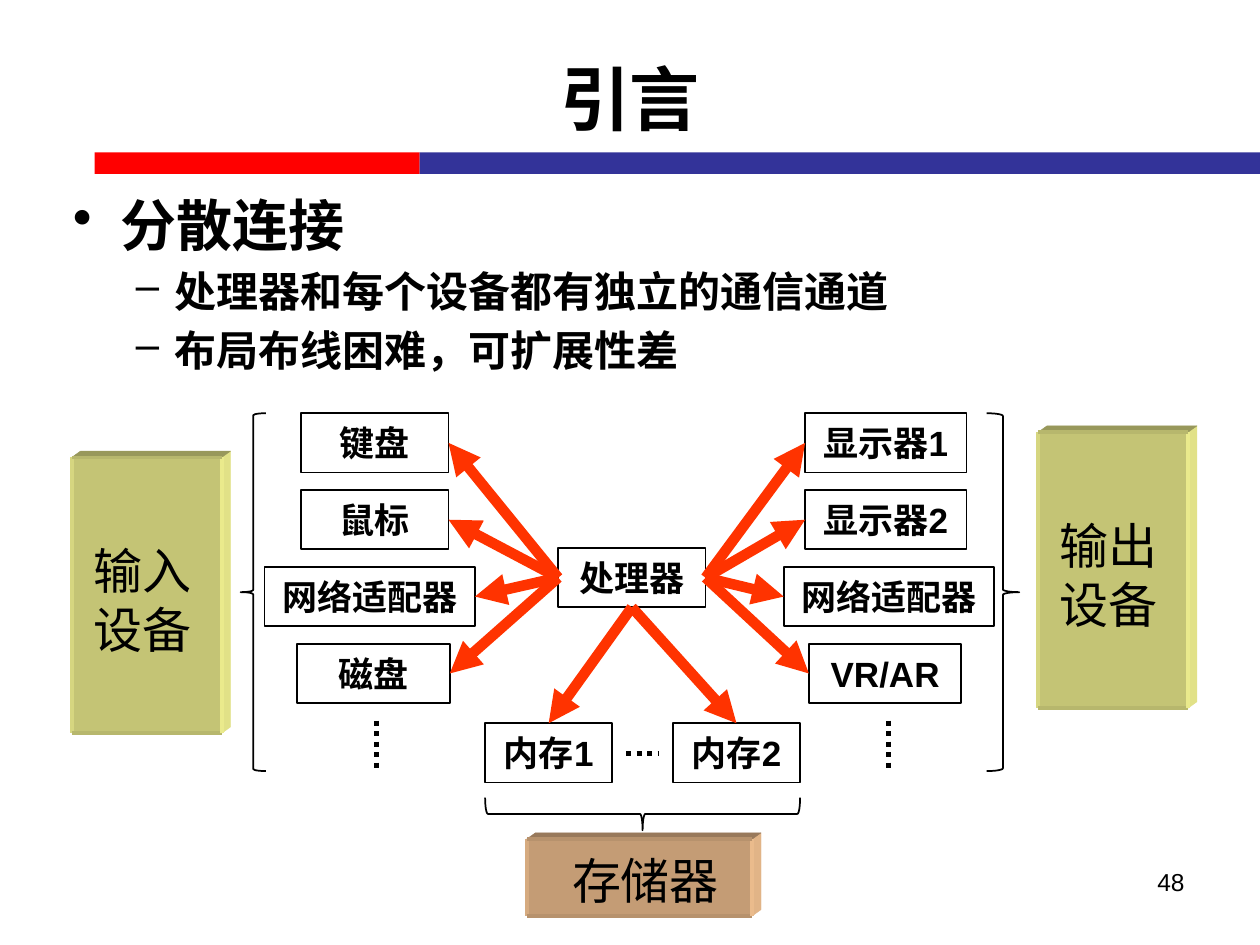
from dataclasses import dataclass

from lxml.etree import SubElement
from pptx import Presentation
from pptx.dml.color import RGBColor
from pptx.enum.dml import MSO_LINE_DASH_STYLE as Dash
from pptx.enum.shapes import MSO_CONNECTOR as Connector, MSO_SHAPE as Shape
from pptx.enum.text import MSO_ANCHOR as Anchor, PP_ALIGN as Align
from pptx.oxml.ns import qn
from pptx.util import Inches, Pt


@dataclass(frozen=True)
class Theme:
    font: str = "Arial"
    block_font: str = "Noto Sans CJK SC"
    ink: str = "000000"
    red: str = "FF0000"
    blue: str = "333399"
    arrow: str = "FF3300"
    title: int = 40
    topic: int = 32
    point: int = 24
    block: int = 28
    device: int = 20
    page: int = 14


@dataclass(frozen=True)
class Palette:
    front: str
    side: str
    top: str
    left_edge: str
    right_edge: str
    flat_edge: str


@dataclass(frozen=True)
class Device:
    label: str
    left: float
    top: float
    width: float


@dataclass(frozen=True)
class Block:
    lines: tuple[str, ...]
    left: float
    top: float
    width: float
    height: float
    label_dx: float
    label_dy: float
    palette: Palette


THEME = Theme()
OLIVE = Palette("C4C475", "E1E187", "98985B", "D6D680", "EAEA8C", "B7B76D")
BROWN = Palette("C49C75", "E1B487", "98795B", "D6AB80", "EABB8C", "B7926D")
DEVICE_HEIGHT = 0.47
ROWS = [3.28 + 0.61 * row for row in range(4)]
BOTTOM, LEFT, RIGHT, TOP = 2, 1, 3, 0

PROCESSOR = Device("处理器", 4.43, 4.35, 1.17)
INPUTS = [
    Device("键盘", 2.39, ROWS[0], 1.17),
    Device("鼠标", 2.39, ROWS[1], 1.17),
    Device("网络适配器", 2.1, ROWS[2], 1.67),
    Device("磁盘", 2.36, ROWS[3], 1.21),
]
OUTPUTS = [
    Device("显示器1", 6.39, ROWS[0], 1.28),
    Device("显示器2", 6.39, ROWS[1], 1.28),
    Device("网络适配器", 6.22, ROWS[2], 1.67),
    Device("VR/AR", 6.42, ROWS[3], 1.21),
]
MEMORIES = [Device("内存1", 3.85, 5.74, 1.01), Device("内存2", 5.34, 5.74, 1.01)]
BLOCKS = [
    Block(("输入", "设备"), 0.57, 3.63, 1.19, 2.19, 0.17, 0.66, OLIVE),
    Block(("输出", "设备"), 8.24, 3.43, 1.19, 2.19, 0.17, 0.66, OLIVE),
    Block(("存储器",), 4.18, 6.66, 1.79, 0.61, 0.36, 0.09, BROWN),
]

prs = Presentation()
prs.slide_width, prs.slide_height = Inches(10), Inches(7.5)
slide = prs.slides.add_slide(prs.slide_layouts[6])
shapes = slide.shapes


def rgb(value: str) -> RGBColor:
    return RGBColor.from_string(value)


def style(paragraph, size: int, bold: bool = False, align=Align.LEFT, font: str = THEME.font) -> None:
    paragraph.alignment = align
    paragraph.font.size = Pt(size)
    paragraph.font.bold = bold
    paragraph.font.name = font
    paragraph.font.color.rgb = rgb(THEME.ink)


def add_text(left: float, top: float, width: float, height: float, lines, wrap: bool = True):
    frame = shapes.add_textbox(Inches(left), Inches(top), Inches(width), Inches(height)).text_frame
    frame.word_wrap = wrap
    frame.text = "\n".join(lines)
    return frame


def add_figure(kind, left: float, top: float, width: float, height: float,
               fill: str | None = None, line: str | None = None):
    figure = shapes.add_shape(kind, Inches(left), Inches(top), Inches(width), Inches(height))
    paint(figure, fill, line, 1)
    return figure


def paint(figure, fill: str | None, line: str | None, weight: float) -> None:
    figure.shadow.inherit = False
    if fill:
        figure.fill.solid()
        figure.fill.fore_color.rgb = rgb(fill)
    else:
        figure.fill.background()
    if line:
        figure.line.color.rgb = rgb(line)
        figure.line.width = Pt(weight)
    else:
        figure.line.fill.background()


def add_line(start: tuple[float, float], end: tuple[float, float], color: str, weight: float):
    points = [Inches(value) for value in (*start, *end)]
    line = shapes.add_connector(Connector.STRAIGHT, *points)
    line.line.color.rgb = rgb(color)
    line.line.width = Pt(weight)
    SubElement(line._element.spPr, qn("a:effectLst"))
    return line


def add_dots(start: tuple[float, float], end: tuple[float, float]) -> None:
    add_line(start, end, THEME.ink, 3).line.dash_style = Dash.ROUND_DOT


def add_device(device: Device):
    box = add_figure(Shape.RECTANGLE, device.left, device.top, device.width, DEVICE_HEIGHT, line=THEME.ink)
    frame = box.text_frame
    frame.word_wrap = False
    frame.vertical_anchor = Anchor.MIDDLE
    frame.text = device.label
    style(frame.paragraphs[0], THEME.device, True, Align.CENTER)
    return box


def add_arrow(source, source_side: int, target, target_side: int) -> None:
    arrow = add_line((0, 0), (1, 1), THEME.arrow, 6)
    arrow.begin_connect(source, source_side)
    arrow.end_connect(target, target_side)
    SubElement(arrow.line._get_or_add_ln(), qn("a:tailEnd"), type="triangle")


def add_face(corners: list[tuple[float, float]], color: str) -> None:
    points = [(Inches(x), Inches(y)) for x, y in corners]
    builder = shapes.build_freeform(*points[0])
    builder.add_line_segments(points[1:], close=True)
    paint(builder.convert_to_shape(), color, color, 0.25)


def add_block(block: Block) -> None:
    dx, dy = 0.07, 0.05
    left, top, colors = block.left, block.top, block.palette
    right, bottom = left + block.width, top + block.height
    add_face([(right, bottom), (right, top), (right + dx, top - dy), (right + dx, bottom - dy)], colors.side)
    add_face([(right, top), (left, top), (left + dx, top - dy), (right + dx, top - dy)], colors.top)
    add_figure(Shape.RECTANGLE, left, top, block.width, block.height, fill=colors.front)
    corners = [(left, top), (left, bottom), (right, bottom), (right, top)]
    edges = [colors.left_edge, colors.flat_edge, colors.right_edge, colors.flat_edge]
    for start, end, color in zip(corners, corners[1:] + corners[:1], edges):
        add_line(start, end, color, 2.13)
    frame = add_text(left + block.label_dx, top + block.label_dy, 0.42 * len(block.lines[0]),
                     0.47 * len(block.lines), block.lines, wrap=False)
    frame.margin_left = frame.margin_right = frame.margin_top = frame.margin_bottom = 0
    for paragraph in frame.paragraphs:
        style(paragraph, THEME.block, font=THEME.block_font)


def add_bullet(paragraph, symbol: str, margin: float, hanging: float) -> None:
    props = paragraph._p.get_or_add_pPr()
    props.set("marL", str(Inches(margin)))
    props.set("indent", str(-Inches(hanging)))
    SubElement(props, qn("a:buChar"), char=symbol)


# Title, colour bar and page number
add_figure(Shape.RECTANGLE, 0.75, 1.21, 2.58, 0.17, fill=THEME.red)
add_figure(Shape.RECTANGLE, 3.33, 1.21, 6.67, 0.17, fill=THEME.blue)
title = add_text(0.5, 0.15, 9, 1.25, ["引言"])
title.vertical_anchor = Anchor.MIDDLE
style(title.paragraphs[0], THEME.title, True, Align.CENTER)
page = add_text(7.17, 6.83, 2.33, 0.52, ["48"])
style(page.paragraphs[0], THEME.page, align=Align.RIGHT)

# Topic and its points
topic, *points = add_text(0.48, 1.46, 9, 1.25, [
    "分散连接", "处理器和每个设备都有独立的通信通道", "布局布线困难，可扩展性差"]).paragraphs
add_bullet(topic, "•", 0.38, 0.38)
style(topic, THEME.topic, True)
for point in points:
    point.level = 1
    add_bullet(point, "–", 0.81, 0.31)
    style(point, THEME.point, True)
    point.space_before = Pt(0.2 * THEME.point)

# Category blocks, braces and continuation dots
for category in BLOCKS:
    add_block(category)
add_figure(Shape.LEFT_BRACE, 1.91, 3.28, 0.2, 2.84, line=THEME.ink)
add_figure(Shape.RIGHT_BRACE, 7.83, 3.28, 0.26, 2.84, line=THEME.ink)
add_figure(Shape.RIGHT_BRACE, 4.97, 5.21, 0.26, 2.5, line=THEME.ink).rotation = 90
for dots_x in (2.99, 7.05):
    add_dots((dots_x, 5.72), (dots_x, 6.12))
add_dots((4.97, 5.98), (5.23, 5.98))

# Processor with a separate channel to every device
processor = add_device(PROCESSOR)
for devices, processor_side, device_side in (
        (INPUTS, LEFT, RIGHT), (MEMORIES, BOTTOM, TOP), (OUTPUTS, RIGHT, LEFT)):
    for device in devices:
        add_arrow(processor, processor_side, add_device(device), device_side)

prs.save("out.pptx")
